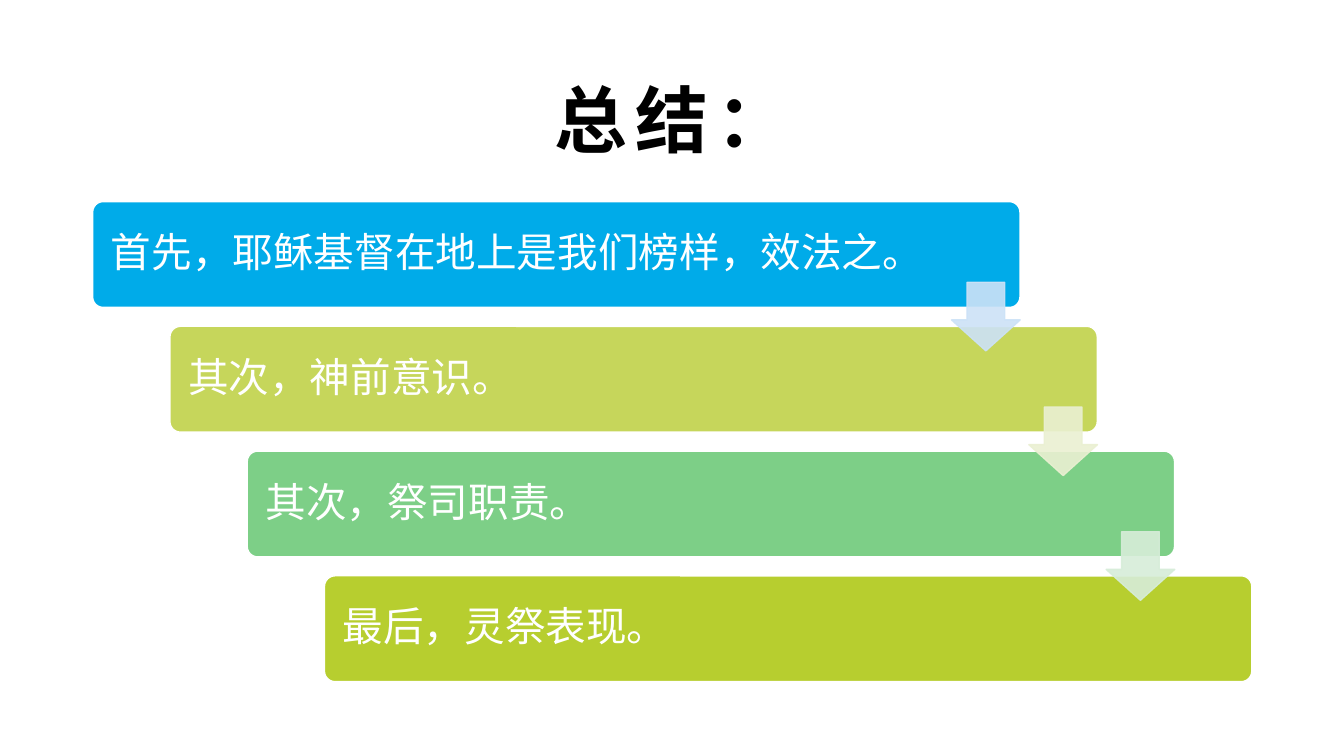
import pptx
import pptx.dml.color
import pptx.enum.shapes
import pptx.enum.text
import pptx.oxml
import pptx.oxml.ns
import pptx.util

Pt = pptx.util.Pt
SHAPES = pptx.enum.shapes.MSO_SHAPE
ALIGN = pptx.enum.text.PP_ALIGN

COLORS = {
    "black": "000000", "white": "FFFFFF",
    "blue": "00ABE9", "olive": "C6D65B", "green": "7DCF87", "lime": "B7CE2F",
    "pale blue": "CCE2F7", "pale olive": "EAF0D2", "pale green": "D7EDD9",
}
STEPS = [
    ("首先，耶稣基督在地上是我们榜样，效法之。", "blue"),
    ("其次，神前意识。", "olive"),
    ("其次，祭司职责。", "green"),
    ("最后，灵祭表现。", "lime"),
]
ARROWS = ["pale blue", "pale olive", "pale green"]
STEP_X, STEP_Y = 55.2, 89.1


def add_filled_shape(kind, left, top, width, height, fill, line):
    shape = slide.shapes.add_shape(kind, Pt(left), Pt(top), Pt(width), Pt(height))
    shape.shadow.inherit = False
    shape.fill.solid()
    shape.fill.fore_color.rgb = pptx.dml.color.RGBColor.from_string(COLORS[fill])
    shape.line.color.rgb = pptx.dml.color.RGBColor.from_string(COLORS[line])
    shape.line.width = Pt(1)
    return shape


def add_text(shape, text, size, color, align):
    frame = shape.text_frame
    frame.word_wrap = True
    frame.vertical_anchor = pptx.enum.text.MSO_ANCHOR.MIDDLE
    paragraph = frame.paragraphs[0]
    paragraph.alignment = align
    paragraph.line_spacing = 0.9
    run = paragraph.add_run()
    run.text = text
    run.font.name = "Arial"
    run.font.size = Pt(size)
    run.font.color.rgb = pptx.dml.color.RGBColor.from_string(COLORS[color])
    return run


presentation = pptx.Presentation()
presentation.slide_width = Pt(960)
presentation.slide_height = Pt(540)
slide = presentation.slides.add_slide(presentation.slide_layouts[6])

# Title
title = slide.shapes.add_textbox(Pt(66), Pt(44), Pt(828), Pt(89.5))
title_run = add_text(title, "总结：", 52, "black", ALIGN.CENTER)
title_run.font.bold = True
title_run.font._element.set("spc", "600")
title.text_frame.paragraphs[0].space_after = Pt(6)

# Staircase of steps
for index, (text, color) in enumerate(STEPS):
    step = add_filled_shape(SHAPES.ROUNDED_RECTANGLE, 66.2 + index * STEP_X,
                            144 + index * STEP_Y, 662.4, 75.6, color, "white")
    step.adjustments[0] = 0.1
    step.text_frame.margin_left = step.text_frame.margin_right = Pt(10.8)
    add_text(step, text, 29, "white", ALIGN.LEFT)

# Translucent arrows from each step to the next
for index, color in enumerate(ARROWS):
    arrow = add_filled_shape(SHAPES.DOWN_ARROW, 679.7 + index * STEP_X,
                             201.6 + index * STEP_Y, 49, 49, color, color)
    arrow.adjustments[0] = 0.55
    arrow.adjustments[1] = 0.45
    for rgb in arrow._element.spPr.iter(pptx.oxml.ns.qn("a:srgbClr")):
        alpha = pptx.oxml.parse_xml(
            f'<a:alpha {pptx.oxml.ns.nsdecls("a")} val="90000"/>')
        rgb.append(alpha)

presentation.save("out.pptx")
